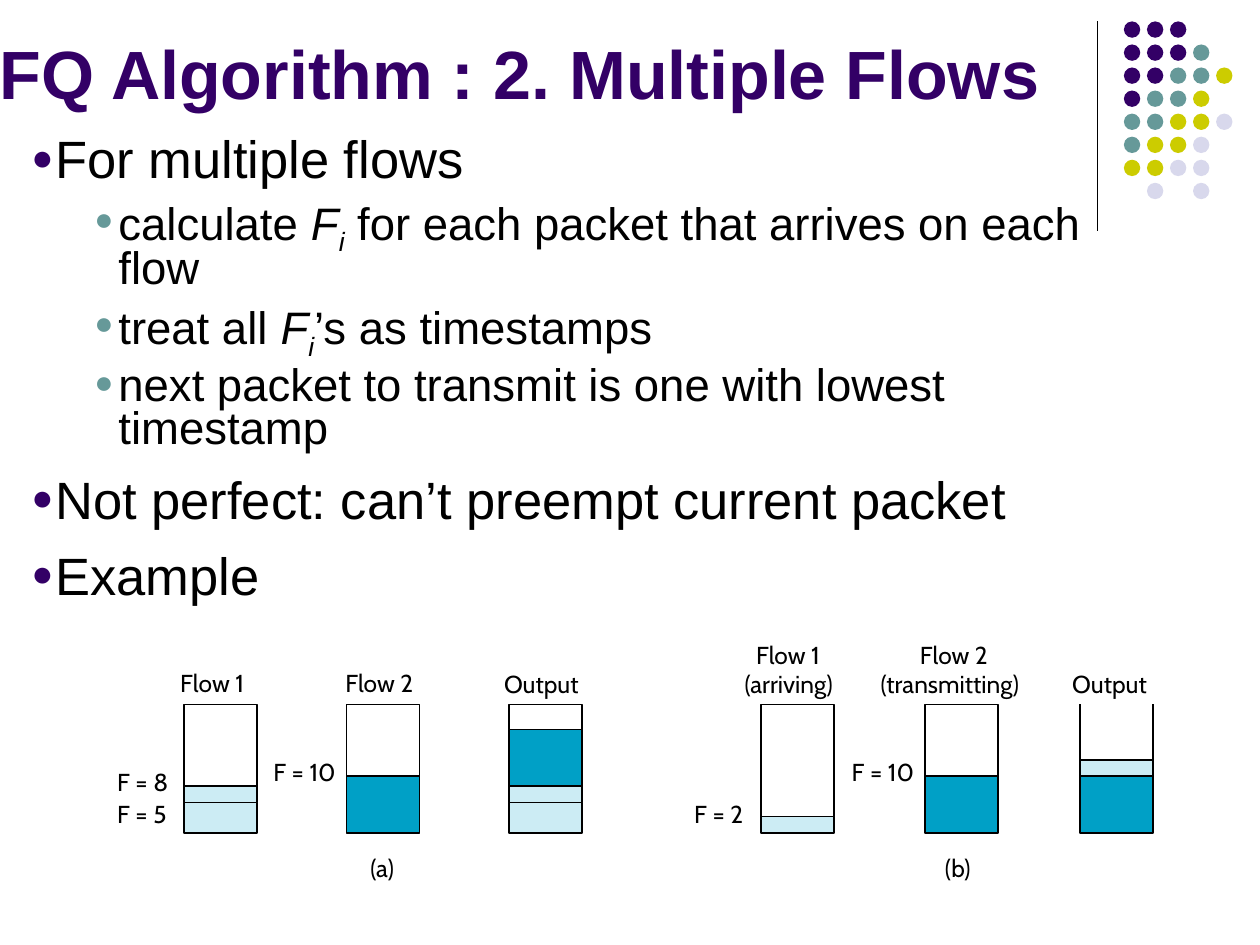
from lxml.etree import SubElement
from pptx import Presentation
from pptx.dml.color import RGBColor
from pptx.enum.shapes import MSO_CONNECTOR, MSO_SHAPE
from pptx.enum.text import MSO_ANCHOR
from pptx.oxml.ns import qn
from pptx.util import Inches, Pt

COLORS = {
    "purple": "330066", "teal": "669999", "olive": "CCCC00", "lavender": "D8D8EC",
    "black": "000000", "pale": "CCECF4", "blue": "00A0C6",
}
TITLE = "FQ Algorithm : 2. Multiple Flows"
BULLETS = [
    (0, [("For multiple flows", "")]),
    (1, [("calculate ", ""), ("F", "italic"), ("i", "subscript"),
         (" for each packet that arrives on each flow", "")]),
    (1, [("treat all ", ""), ("F", "italic"), ("i", "subscript"), ("’s as timestamps", "")]),
    (1, [("next packet to transmit is one with lowest timestamp", "")]),
    (0, [("Not perfect: can’t preempt current packet", "")]),
    (0, [("Example", "")]),
]
LEVELS = [
    {"size": 30, "left": 0.19, "before": 7.5, "spacing": None, "bullet": "purple"},
    {"size": 26, "left": 0.69, "before": 6.5, "spacing": 0.8, "bullet": "teal"},
]
HANGING = 0.19

DOT_ROWS = ["PPP", "PPPT", "PPTTO", "PTTO", "TTOOL", "TOOL", "OOLL", " L L"]
DOT_COLORS = {"P": "purple", "T": "teal", "O": "olive", "L": "lavender"}
DOT_LEFT, DOT_TOP, DOT_PITCH, DOT_SIZE = 8.92, 0.17, 0.183, 0.13

QUEUE_TOP, QUEUE_BOTTOM, QUEUE_WIDTH = 5.59, 6.61, 0.58
QUEUES = [
    (1.46, [(6.37, "pale"), (6.24, "pale"), (QUEUE_TOP, None)]),
    (2.75, [(6.16, "blue"), (QUEUE_TOP, None)]),
    (4.04, [(6.37, "pale"), (6.24, "pale"), (5.79, "blue"), (QUEUE_TOP, None)]),
    (6.04, [(6.48, "pale"), (QUEUE_TOP, None)]),
    (7.34, [(6.16, "blue"), (QUEUE_TOP, None)]),
    (8.57, [(6.16, "blue"), (6.03, "pale")]),
]
OPEN_QUEUE_LEFT, OPEN_QUEUE_LEVEL = 8.57, 6.03
LABELS = [
    ("Flow 1", 1.43, 5.3, 0.59), ("Flow 2", 2.74, 5.3, 0.59), ("Output", 4, 5.31, 0.65),
    ("F = 8", 0.93, 6.09, 0.43), ("F = 5", 0.93, 6.34, 0.43), ("F = 10", 2.17, 6.01, 0.54),
    ("(a)", 2.94, 6.77, 0.23),
    ("Flow 1", 6, 5.08, 0.59), ("(arriving)", 5.91, 5.31, 0.83),
    ("Flow 2", 7.3, 5.08, 0.59), ("(transmitting)", 6.99, 5.31, 1.26),
    ("Output", 8.51, 5.31, 0.65),
    ("F = 2", 5.51, 6.34, 0.43), ("F = 10", 6.76, 6.01, 0.54), ("(b)", 7.5, 6.77, 0.24),
]


def color(name):
    return RGBColor.from_string(COLORS[name])


def add_run(paragraph, text, size, font="Arial", fill="black", bold=False):
    run = paragraph.add_run()
    run.text = text
    run.font.size = Pt(size)
    run.font.name = font
    run.font.bold = bold
    run.font.color.rgb = color(fill)
    return run


def add_text_frame(slide, left, top, width, height, wrap=True):
    box = slide.shapes.add_textbox(Inches(left), Inches(top), Inches(width), Inches(height))
    frame = box.text_frame
    frame.margin_left = frame.margin_right = frame.margin_top = frame.margin_bottom = 0
    frame.vertical_anchor = MSO_ANCHOR.TOP
    frame.word_wrap = wrap
    return frame


def style_shape(shape, fill=None, outlined=False):
    shape.shadow.inherit = False
    if fill:
        shape.fill.solid()
        shape.fill.fore_color.rgb = color(fill)
    else:
        shape.fill.background()
    if outlined:
        shape.line.color.rgb = color("black")
        shape.line.width = Pt(0.88)
    else:
        shape.line.fill.background()


def add_preset(slide, preset, left, top, width, height, fill, outlined=False):
    shape = slide.shapes.add_shape(
        preset, Inches(left), Inches(top), Inches(width), Inches(height))
    style_shape(shape, fill, outlined)


def add_bullet(paragraph, level):
    properties = paragraph._p.get_or_add_pPr()
    properties.set("marL", str(Inches(level["left"])))
    properties.set("indent", str(-Inches(HANGING)))
    bullet_color = SubElement(properties, qn("a:buClr"))
    SubElement(bullet_color, qn("a:srgbClr"), val=COLORS[level["bullet"]])
    SubElement(properties, qn("a:buSzPct"), val="70000")
    SubElement(properties, qn("a:buFont"), typeface="Arial")
    SubElement(properties, qn("a:buChar"), char="●")


def add_decoration(slide):
    rule = slide.shapes.add_connector(
        MSO_CONNECTOR.STRAIGHT, Inches(8.71), Inches(0.17), Inches(8.71), Inches(1.83))
    rule.line.color.rgb = color("black")
    rule.line.width = Pt(0.75)
    SubElement(rule._element.spPr, qn("a:effectLst"))
    for row, codes in enumerate(DOT_ROWS):
        for column, code in enumerate(codes):
            if code in DOT_COLORS:
                add_preset(slide, MSO_SHAPE.OVAL, DOT_LEFT + column * DOT_PITCH,
                           DOT_TOP + row * DOT_PITCH, DOT_SIZE, DOT_SIZE, DOT_COLORS[code])


def add_body(slide):
    frame = add_text_frame(slide, 0.25, 1, 8.5, 4.5)
    for index, (depth, pieces) in enumerate(BULLETS):
        paragraph = frame.add_paragraph() if index else frame.paragraphs[0]
        level = LEVELS[depth]
        paragraph.level = depth
        paragraph.space_before = Pt(level["before"])
        if level["spacing"]:
            paragraph.line_spacing = level["spacing"]
        add_bullet(paragraph, level)
        for text, style in pieces:
            run = add_run(paragraph, text, level["size"])
            run.font.italic = bool(style)
            if style == "subscript":
                run.font._element.set("baseline", "-25000")


def add_queues(slide):
    for left, layers in QUEUES:
        bottom = QUEUE_BOTTOM
        for top, fill in layers:
            add_preset(slide, MSO_SHAPE.RECTANGLE, left, top, QUEUE_WIDTH, bottom - top,
                       fill, outlined=True)
            bottom = top
    right = OPEN_QUEUE_LEFT + QUEUE_WIDTH
    builder = slide.shapes.build_freeform(
        Inches(OPEN_QUEUE_LEFT), Inches(QUEUE_TOP), scale=1.0)
    corners = [(OPEN_QUEUE_LEFT, OPEN_QUEUE_LEVEL), (right, OPEN_QUEUE_LEVEL), (right, QUEUE_TOP)]
    builder.add_line_segments([(Inches(x), Inches(y)) for x, y in corners], close=False)
    style_shape(builder.convert_to_shape(), outlined=True)


def main():
    presentation = Presentation()
    presentation.slide_width = Inches(10)
    presentation.slide_height = Inches(7.5)
    slide = presentation.slides.add_slide(presentation.slide_layouts[6])
    add_decoration(slide)
    title = add_text_frame(slide, 0, 0.25, 8.5, 0.65)
    add_run(title.paragraphs[0], TITLE, 39, fill="purple", bold=True)
    add_body(slide)
    add_queues(slide)
    for text, left, top, width in LABELS:
        label = add_text_frame(slide, left, top, width, 0.23, wrap=False)
        add_run(label.paragraphs[0], text, 14, font="Cabin")
    presentation.save("out.pptx")


if __name__ == "__main__":
    main()
